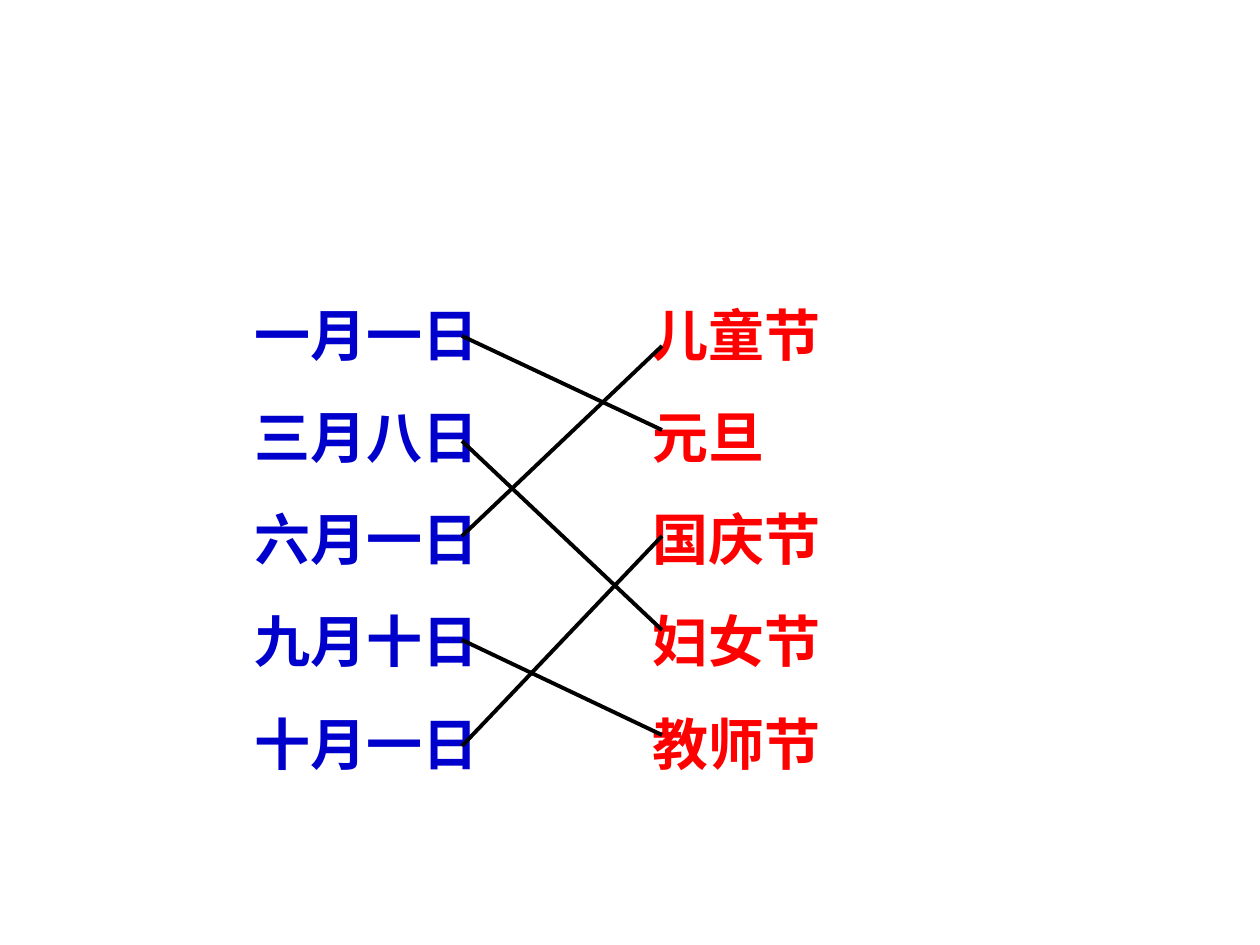
from lxml.etree import SubElement
from pptx import Presentation
from pptx.dml.color import RGBColor
from pptx.enum.shapes import MSO_CONNECTOR
from pptx.enum.text import MSO_AUTO_SIZE
from pptx.oxml.ns import qn
from pptx.util import Emu, Pt

BLUE = RGBColor(0x00, 0x00, 0xCC)
RED = RGBColor(0xFF, 0x00, 0x00)
BLACK = RGBColor(0x00, 0x00, 0x00)
FONT = "Times New Roman"

DATES = ["一月一日", "三月八日", "六月一日", "九月十日", "十月一日"]
FESTIVALS = ["儿童节", "元旦", "国庆节", "妇女节", "教师节"]
MATCHES = {
    "一月一日": "元旦",
    "三月八日": "妇女节",
    "六月一日": "儿童节",
    "九月十日": "教师节",
    "十月一日": "国庆节",
}
COLUMNS = [
    (DATES, BLUE, (242, 294, 262, 489)),
    (FESTIVALS, RED, (640, 294, 252, 591)),
]
DATE_X, FESTIVAL_X = 462, 662
DATE_Y = dict(zip(DATES, (336, 441, 536, 640, 746)))
FESTIVAL_Y = dict(zip(FESTIVALS, (346, 430, 536, 630, 735)))


def px(length):
    return Emu(round(length * 914400 / 126))


def add_column(slide, entries, color, box):
    shape = slide.shapes.add_textbox(*map(px, box))
    text_frame = shape.text_frame
    text_frame.word_wrap = True
    text_frame.auto_size = MSO_AUTO_SIZE.SHAPE_TO_FIT_TEXT
    text_frame.text = "\n".join(entries)
    for index, paragraph in enumerate(text_frame.paragraphs):
        paragraph.space_before = Pt(20 if index else 0)
        for run in paragraph.runs:
            run.font.name = FONT
            run.font.size = Pt(32)
            run.font.bold = True
            run.font.color.rgb = color


def add_match(slide, date, festival):
    ends = (DATE_X, DATE_Y[date], FESTIVAL_X, FESTIVAL_Y[festival])
    connector = slide.shapes.add_connector(MSO_CONNECTOR.STRAIGHT, *map(px, ends))
    connector.line.color.rgb = BLACK
    connector.line.width = Pt(2.25)
    SubElement(connector.element.spPr, qn("a:effectLst"))


def main():
    presentation = Presentation()
    presentation.slide_width = px(1260)
    presentation.slide_height = px(945)
    slide = presentation.slides.add_slide(presentation.slide_layouts[6])
    for entries, color, box in COLUMNS:
        add_column(slide, entries, color, box)
    for date, festival in MATCHES.items():
        add_match(slide, date, festival)
    presentation.save("out.pptx")


if __name__ == "__main__":
    main()
